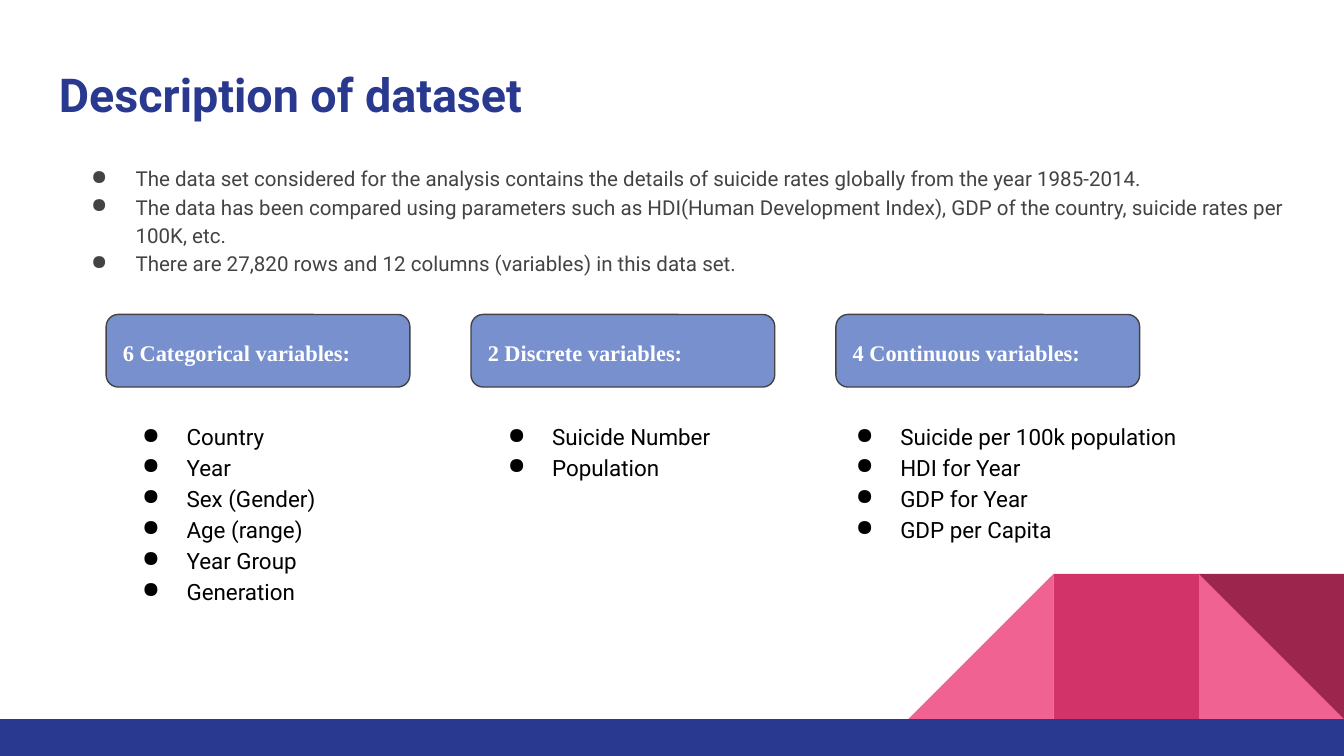
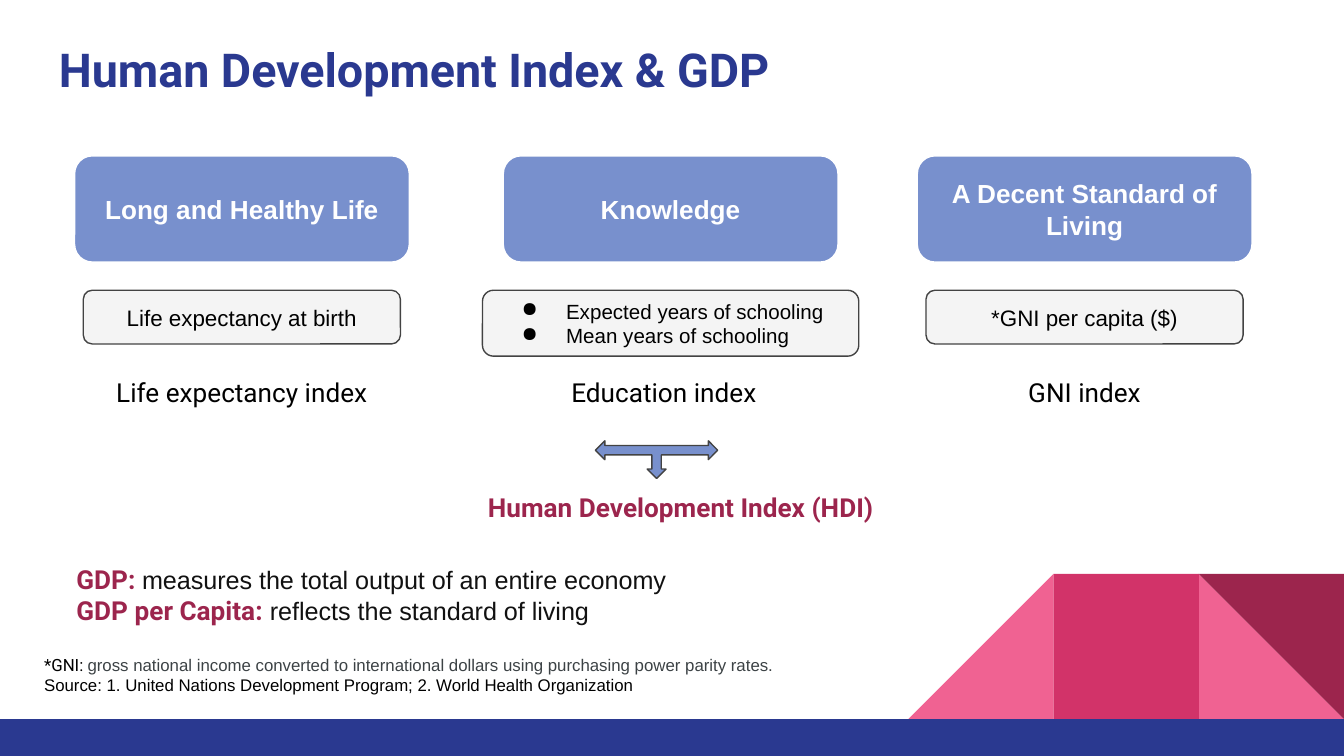
from lxml.etree import SubElement
from pptx import Presentation
from pptx.dml.color import RGBColor
from pptx.enum.shapes import MSO_SHAPE
from pptx.enum.text import MSO_ANCHOR, PP_ALIGN
from pptx.oxml.ns import qn
from pptx.util import Emu, Inches, Pt

# Shared look
W, H = 10, 5.625
COLORS = {"navy": "2A3990", "blue": "7890CD", "pink": "F06292", "rose": "D23369",
          "wine": "9C254D", "gray": "434343", "slate": "3C4245", "ink": "111111",
          "pale": "F4F4F4", "black": "000000", "white": "FFFFFF"}
STYLES = {  # size, font, colour, bold
    "title": (25, "Roboto", "navy", True),
    "intro": (11, "Roboto", "gray", False),
    "group": (12, "Times New Roman", "white", True),
    "variable": (12, "Roboto", "black", False),
    "pillar": (14, "Arial", "white", True),
    "measure": (12, "Arial", "black", False),
    "measure_item": (11, "Arial", "black", False),
    "index": (14, "Roboto", "black", False),
    "term": (14, "Roboto", "wine", True),
    "meaning": (13.5, "Arial", "ink", False),
    "note_mark": (9, "Roboto", "black", False),
    "note": (9, "Arial", "slate", False),
    "source": (9, "Arial", "black", False),
}
LEFT, CENTER, JUSTIFY = PP_ALIGN.LEFT, PP_ALIGN.CENTER, PP_ALIGN.JUSTIFY

# Slide 1 content
DATASET_TITLE = "Description of dataset"
INTRO = [
    "The data set considered for the analysis contains the details of suicide rates "
    "globally from the year 1985-2014.",
    "The data has been compared using parameters such as HDI(Human Development Index), "
    "GDP of the country, suicide rates per 100K, etc.",
    "There are 27,820 rows and 12 columns (variables) in this data set.",
]
GROUPS = [  # heading, list left, list width, variables
    ("6 Categorical variables:", 0.79, 2.26,
     ["Country", "Year", "Sex (Gender)", "Age (range)", "Year Group", "Generation"]),
    ("2 Discrete variables:", 3.51, 2.26, ["Suicide Number", "Population"]),
    ("4 Continuous variables:", 6.1, 3.29,
     ["Suicide per 100k population", "HDI for Year", "GDP for Year", "GDP per Capita"]),
]

# Slide 2 content
HDI_TITLE = "Human Development Index & GDP"
PILLARS = [  # column centre, index centre, pillar, measures, index
    (1.8, 1.8, "Long and Healthy Life", ["Life expectancy at birth"],
     "Life expectancy index"),
    (4.99, 4.94, "Knowledge",
     ["Expected years of schooling", "Mean years of schooling"], "Education index"),
    (8.07, 8.07, "A Decent Standard of Living", ["*GNI per capita ($)"], "GNI index"),
]
HDI = "Human Development Index (HDI)"
TERMS = [
    [("GDP: ", "term"), ("measures the total output of an entire economy", "meaning")],
    [("GDP per Capita:", "term"), (" reflects the standard of living", "meaning")],
]
NOTES = [
    [("*GNI: ", "note_mark"),
     ("gross national income converted to international dollars using purchasing "
      "power parity rates.", "note")],
    [("Source: 1. United Nations Development Program; 2. World Health Organization",
      "source")],
]


def rgb(name):
    return RGBColor.from_string(COLORS[name])


def lines(texts, style):
    return [[(text, style)] for text in texts]


def add_bullet(p, color):
    pPr = p._p.get_or_add_pPr()
    pPr.set("marL", str(Inches(0.5)))
    pPr.set("indent", str(Inches(-0.33)))
    clr = SubElement(pPr, qn("a:buClr"))
    SubElement(clr, qn("a:srgbClr")).set("val", COLORS[color])
    SubElement(pPr, qn("a:buChar")).set("char", "●")


def write(sp, paragraphs, align=LEFT, spacing=1.0, bullet=False, anchor=MSO_ANCHOR.TOP):
    tf = sp.text_frame
    frame = {"word_wrap": True, "vertical_anchor": anchor}
    frame.update({f"margin_{side}": Inches(0.1)
                  for side in ("left", "right", "top", "bottom")})
    for key, value in frame.items():
        setattr(tf, key, value)
    for i, runs in enumerate(paragraphs):
        p = tf.add_paragraph() if i else tf.paragraphs[0]
        p.alignment, p.line_spacing = align, spacing
        if bullet:
            add_bullet(p, STYLES[runs[0][1]][2])
        for text, style in runs:
            size, font, color, bold = STYLES[style]
            r = p.add_run()
            r.text = text
            for key, value in {"size": Pt(size), "name": font, "bold": bold}.items():
                setattr(r.font, key, value)
            r.font.color.rgb = rgb(color)


def add_text(s, box, paragraphs, **layout):
    write(s.shapes.add_textbox(*map(Inches, box)), paragraphs, **layout)


def add_shape(s, kind, box, fill, line=None):
    sp = s.shapes.add_shape(kind, *map(Inches, box))
    sp.shadow.inherit = False
    sp.fill.solid()
    sp.fill.fore_color.rgb = rgb(fill)
    if line:
        sp.line.color.rgb = rgb(line)
        sp.line.width = Pt(0.75)
    else:
        sp.line.fill.background()
    return sp


def add_card(s, box, fill, line, paragraphs, **layout):
    sp = add_shape(s, MSO_SHAPE.ROUNDED_RECTANGLE, box, fill, line)
    write(sp, paragraphs, anchor=MSO_ANCHOR.MIDDLE, **layout)


def new_slide(prs, title, title_top):
    s = prs.slides.add_slide(prs.slide_layouts[6])
    # Corner tiles: columns counted from the right edge, then the footer band
    tile, band_top = 1.08, 5.35
    for column, kind, fill, flip, turn in [
            (1, MSO_SHAPE.RIGHT_TRIANGLE, "pink", False, 0),
            (3, MSO_SHAPE.RIGHT_TRIANGLE, "pink", True, 0),
            (2, MSO_SHAPE.RECTANGLE, "rose", False, 0),
            (1, MSO_SHAPE.RIGHT_TRIANGLE, "wine", False, 180)]:
        sp = add_shape(s, kind, (W - column * tile, band_top - tile, tile, tile), fill)
        sp.rotation = turn
        if flip:
            sp._element.spPr.find(qn("a:xfrm")).set("flipH", "1")
    add_shape(s, MSO_SHAPE.RECTANGLE, (0, band_top, W, H - band_top), "navy")
    add_text(s, (0.34, title_top, 9.32, 0.66), lines([title], "title"),
             anchor=MSO_ANCHOR.MIDDLE)
    return s


def dataset_slide(prs):
    s = new_slide(prs, DATASET_TITLE, 0.37)
    add_text(s, (0.41, 1.11, 9.25, 1.03), lines(INTRO, "intro"),
             align=JUSTIFY, spacing=1.15, bullet=True)
    # Variable groups: heading card above its list
    for i, (heading, left, width, variables) in enumerate(GROUPS):
        add_card(s, (0.79 + i * 2.715, 2.34, 2.26, 0.54), "blue", "gray",
                 lines([heading], "group"), align=JUSTIFY, spacing=1.15)
        add_text(s, (left, 3.02, width, 0.18 + 0.23 * len(variables)),
                 lines(variables, "variable"), spacing=1.15, bullet=True)


def hdi_slide(prs):
    s = new_slide(prs, HDI_TITLE, 0.18)
    # Pillar columns: card, measures, index
    for mid, index_mid, pillar, measures, index in PILLARS:
        several = len(measures) > 1
        width, height = (2.8, 0.49) if several else (2.36, 0.4)
        add_card(s, (mid - 1.245, 1.16, 2.49, 0.79), "blue", "white",
                 lines([pillar], "pillar"), align=CENTER)
        add_card(s, (mid - width / 2, 2.16, width, height), "pale", "gray",
                 lines(measures, "measure_item" if several else "measure"),
                 align=LEFT if several else CENTER, bullet=several)
        add_text(s, (index_mid - 1.05, 2.7, 2.1, 0.44), lines([index], "index"),
                 align=CENTER)
    # Arrow joining the indices into the HDI
    arrow = add_shape(s, MSO_SHAPE.LEFT_RIGHT_UP_ARROW, (4.43, 3.28, 0.91, 0.28),
                      "blue", "gray")
    arrow.rotation = 180
    add_text(s, (2.18, 3.56, 5.77, 0.44), lines([HDI], "term"), align=CENTER)
    # Definitions and notes
    add_text(s, (0.47, 4.09, 5.77, 0.67), TERMS)
    add_text(s, (0.23, 4.77, 5.77, 0.5), NOTES)


def main():
    prs = Presentation()
    prs.slide_width, prs.slide_height = Inches(W), Emu(Inches(H))
    dataset_slide(prs)
    hdi_slide(prs)
    prs.save("out.pptx")


if __name__ == "__main__":
    main()
